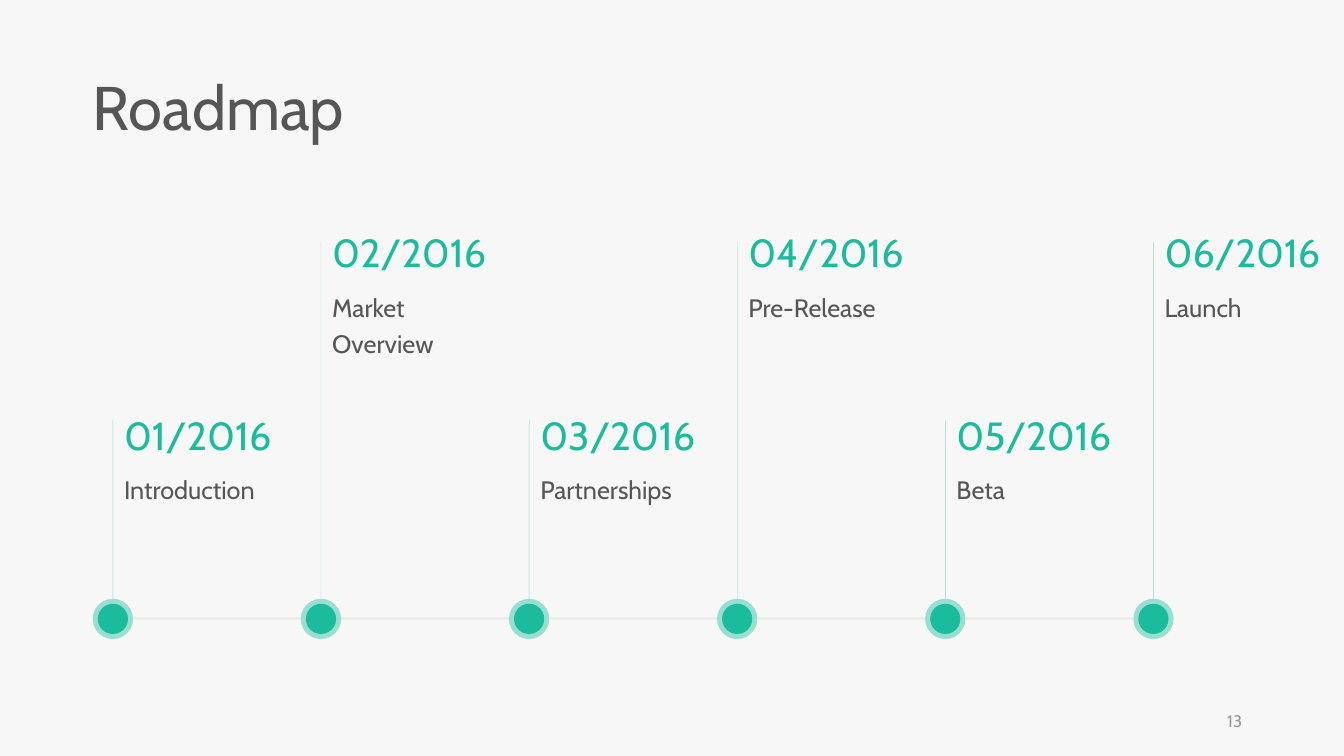
from pptx import Presentation
from pptx.dml.color import RGBColor as RGB
from pptx.enum.shapes import MSO_CONNECTOR as Link, MSO_SHAPE as Shape
from pptx.enum.text import MSO_ANCHOR as Anchor, MSO_AUTO_SIZE as Auto, PP_ALIGN as Align
from pptx.oxml.ns import qn
from pptx.util import Inches, Pt
from lxml.etree import SubElement

TITLE = "Roadmap"
NUMBER = "13"
STEPS = [
    ("01/2016", "Introduction"),
    ("02/2016", "Market Overview"),
    ("03/2016", "Partnerships"),
    ("04/2016", "Pre-Release"),
    ("05/2016", "Beta"),
    ("06/2016", "Launch"),
]


class Theme:
    font = "Cabin"
    back = RGB.from_string("F7F7F7")
    green = RGB.from_string("1ABC9C")
    dark = RGB.from_string("565656")
    gray = RGB.from_string("9A9A9A")
    rail = RGB.from_string("EDECEC")
    title, date, label, number = 44, 28, 18, 12


START, PITCH = 1.12, 2.064   # first dot centre and the gap between centres
RAIL_Y = 6.14
HALO, DOT = 0.4, 0.3
TEXT_TOPS = (4.03, 2.22)     # low and high steps take turns
STEM_TOPS = (4.17, 2.4)


def fade(fill, percent):
    """Set the opacity of a solid fill or line."""
    color = fill.find(".//" + qn("a:srgbClr"))
    SubElement(color, qn("a:alpha")).set("val", str(percent * 1000))


def write(box, text, size, color):
    """Fill a text shape with one styled paragraph and return the paragraph."""
    frame = box.text_frame
    frame.text = text
    frame.word_wrap = True
    frame.auto_size = Auto.NONE
    para = frame.paragraphs[0]
    font = para.runs[0].font
    font.name, font.size, font.color.rgb = Theme.font, Pt(size), color
    return para


def add_text(shapes, x, y, width, height, text, size, color):
    box = shapes.add_textbox(Inches(x), Inches(y), Inches(width), Inches(height))
    para = write(box, text, size, color)
    return box.text_frame, para


def add_disc(shapes, x, size):
    disc = shapes.add_shape(Shape.OVAL, Inches(x - size / 2), Inches(RAIL_Y - size / 2),
                            Inches(size), Inches(size))
    disc.shadow.inherit = False
    disc.fill.solid()
    disc.fill.fore_color.rgb = Theme.green
    disc.line.fill.background()
    return disc


def add_line(shapes, x1, y1, x2, y2, color, width):
    line = shapes.add_connector(Link.STRAIGHT, Inches(x1), Inches(y1), Inches(x2), Inches(y2))
    line.line.color.rgb = color
    line.line.width = Pt(width)
    SubElement(line._element.spPr, qn("a:effectLst"))
    return line


def add_step(shapes, index, date, label):
    x = START + index * PITCH
    high = index % 2
    if index:
        add_line(shapes, x - PITCH + HALO / 2, RAIL_Y, x - HALO / 2, RAIL_Y, Theme.rail, 2.25)

    group = shapes.add_group_shape()
    halo = add_disc(group.shapes, x, HALO)
    fade(halo._element.spPr, 42)
    add_disc(group.shapes, x, DOT)

    stem = add_line(shapes, x, RAIL_Y - HALO / 2, x, STEM_TOPS[high], Theme.green, 0.25)
    stem.begin_connect(halo, 0)
    fade(stem._element.spPr, 51)

    top = TEXT_TOPS[high]
    left = x - 0.01
    frame, _ = add_text(shapes, left, top, 1.85, 0.57, date, Theme.date, Theme.green)
    frame.margin_left = Inches(0.12)
    frame, para = add_text(shapes, left, top + 0.57, 1.85, 0.46, label, Theme.label, Theme.dark)
    frame.margin_left = Inches(0.12)
    para.line_spacing = 1.2


def add_title(slide):
    title = slide.shapes.title
    title.left, title.top = Inches(0.92), Inches(0.72)
    title.width, title.height = Inches(4.9), Inches(0.77)
    para = write(title, TITLE, Theme.title, Theme.dark)
    para.alignment = Align.LEFT
    para.line_spacing = 0.9
    para.space_before = Pt(10)
    title.text_frame.margin_left = 0
    title.text_frame.vertical_anchor = Anchor.TOP


def main():
    deck = Presentation()
    deck.slide_width, deck.slide_height = Inches(13.33), Inches(7.5)
    slide = deck.slides.add_slide(deck.slide_layouts[5])
    slide.background.fill.solid()
    slide.background.fill.fore_color.rgb = Theme.back

    add_title(slide)
    for index, (date, label) in enumerate(STEPS):
        add_step(slide.shapes, index, date, label)

    frame, para = add_text(slide.shapes, 9.42, 6.95, 3, 0.4, NUMBER, Theme.number, Theme.gray)
    frame.vertical_anchor = Anchor.MIDDLE
    para.alignment = Align.RIGHT
    deck.save("out.pptx")


if __name__ == "__main__":
    main()
